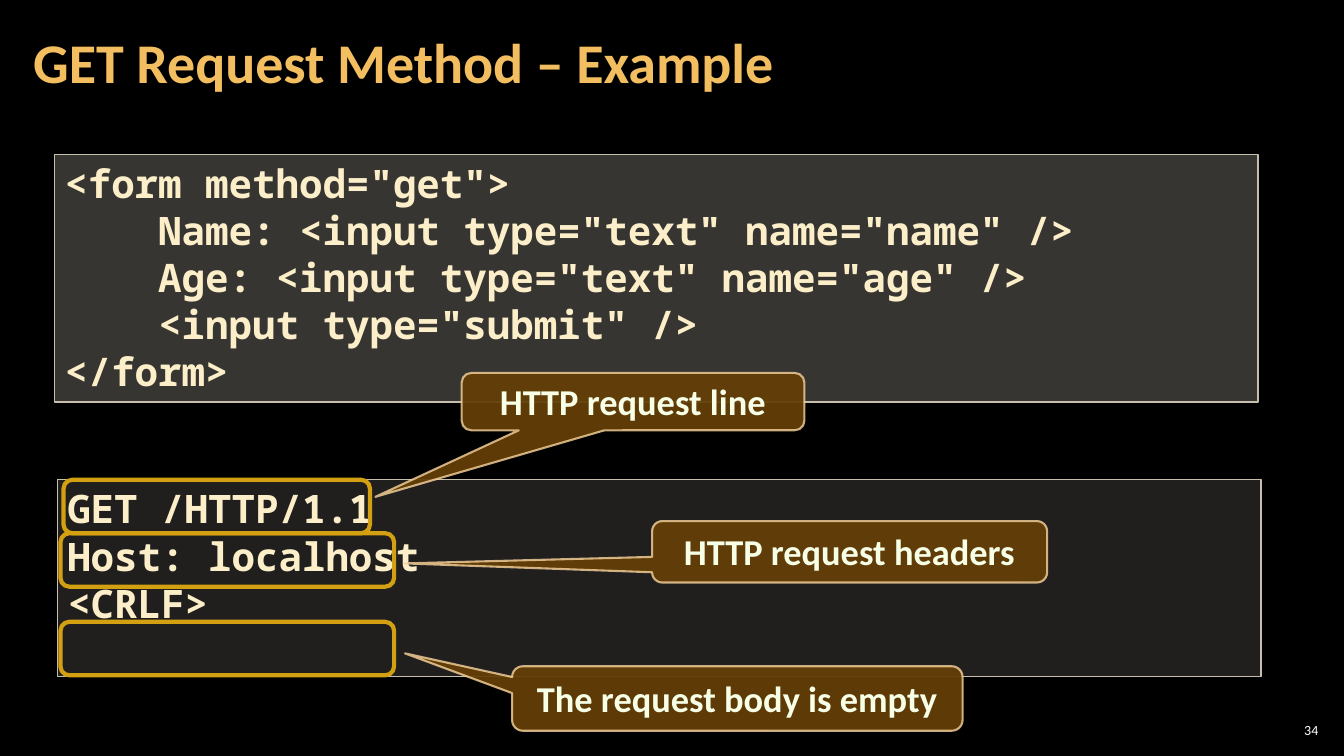
"""Build the slide that explains an HTTP GET request with an example."""
from dataclasses import dataclass
from typing import Optional

from lxml.etree import SubElement
from pptx import Presentation
from pptx.dml.color import RGBColor
from pptx.enum.shapes import MSO_SHAPE as Preset
from pptx.enum.text import MSO_ANCHOR as Anchor, MSO_AUTO_SIZE as AutoSize, PP_ALIGN as Align
from pptx.oxml.ns import qn
from pptx.util import Pt

BLACK = RGBColor(0x00, 0x00, 0x00)
WHITE = RGBColor(0xFF, 0xFF, 0xFF)
TITLE_GOLD = RGBColor(0xF3, 0xBE, 0x60)
PANEL_FILL = RGBColor(0xD9, 0xD5, 0xC7)
PANEL_LINE = RGBColor(0xC7, 0xBF, 0xAC)
CODE_CREAM = RGBColor(0xFB, 0xEE, 0xC9)
CALLOUT_FILL = RGBColor(0x64, 0x3F, 0x07)
CALLOUT_LINE = RGBColor(0xF8, 0xD4, 0x9E)
CALLOUT_TEXT = RGBColor(0xF7, 0xFF, 0xE7)
FRAME_GOLD = RGBColor(0xD2, 0xA0, 0x10)
TEXT_FONT = "Calibri"
CODE_FONT = "Noto Sans Mono"
FORM_CODE = """<form method="get">
    Name: <input type="text" name="name" />
    Age: <input type="text" name="age" />
    <input type="submit" />
</form>"""
REQUEST_CODE = """GET /HTTP/1.1
Host: localhost
<CRLF>"""


@dataclass(frozen=True)
class Box:
    left: float
    top: float
    width: float
    height: float

    def lengths(self) -> tuple:
        return Pt(self.left), Pt(self.top), Pt(self.width), Pt(self.height)


@dataclass(frozen=True)
class CodePanel:
    box: Box
    code: str
    opacity: int


@dataclass(frozen=True)
class Callout:
    box: Box
    text: str
    tip: tuple


CODE_PANELS = [
    CodePanel(Box(38.9, 110.2, 859.7, 177.1), FORM_CODE, 25),
    CodePanel(Box(41, 342.7, 859.7, 140.4), REQUEST_CODE, 15),
]
CALLOUTS = [
    Callout(Box(329.8, 266.4, 244.8, 41), "HTTP request line", (-0.752, 1.66)),
    Callout(Box(465.8, 372.2, 282.2, 43.9), "HTTP request headers", (-1.127, 0.189)),
    Callout(Box(365.8, 475.9, 321.8, 46.1), "The request body is empty", (-0.738, -0.7)),
]
FRAMES = [
    Box(45.4, 342.7, 218.9, 38.2),
    Box(43.2, 380.9, 238.3, 38.2),
    Box(43.2, 444.2, 238.3, 38.2),
]


def write_text(text_frame, text: str, *, size: float, color: RGBColor,
               font: str = TEXT_FONT, bold: bool = True, align=Align.LEFT,
               anchor=Anchor.MIDDLE, line_spacing=None, side: float = 7.2,
               edge: float = 3.6, wrap: bool = True) -> None:
    text_frame.auto_size = AutoSize.NONE
    text_frame.word_wrap = wrap
    text_frame.vertical_anchor = anchor
    text_frame.margin_left = text_frame.margin_right = Pt(side)
    text_frame.margin_top = text_frame.margin_bottom = Pt(edge)
    text_frame.text = text
    for paragraph in text_frame.paragraphs:
        paragraph.alignment = align
        paragraph.line_spacing = line_spacing
        for run in paragraph.runs:
            run.font.name = font
            run.font.size = Pt(size)
            run.font.bold = bold
            run.font.color.rgb = color


def set_opacity(fill_parent, percent: int) -> None:
    color = fill_parent.find(qn("a:solidFill"))[0]
    SubElement(color, qn("a:alpha")).set("val", str(percent * 1000))


def add_outlined(slide, preset, box: Box, line: RGBColor, line_width: float,
                 fill: Optional[RGBColor] = None, opacity: int = 100):
    shape = slide.shapes.add_shape(preset, *box.lengths())
    shape.shadow.inherit = False
    shape.line.color.rgb = line
    shape.line.width = Pt(line_width)
    if fill is None:
        shape.fill.background()
    else:
        shape.fill.solid()
        shape.fill.fore_color.rgb = fill
        set_opacity(shape.element.spPr, opacity)
    return shape


def add_code_panel(slide, panel: CodePanel) -> None:
    shape = add_outlined(slide, Preset.RECTANGLE, panel.box, PANEL_LINE, 1,
                         PANEL_FILL, panel.opacity)
    write_text(shape.text_frame, panel.code, size=28, color=CODE_CREAM,
               font=CODE_FONT, anchor=Anchor.TOP)


def add_callout(slide, callout: Callout) -> None:
    shape = add_outlined(slide, Preset.ROUNDED_RECTANGULAR_CALLOUT, callout.box,
                         CALLOUT_LINE, 1.5, CALLOUT_FILL, 95)
    set_opacity(shape.element.spPr.find(qn("a:ln")), 80)
    shape.adjustments[0], shape.adjustments[1] = callout.tip
    write_text(shape.text_frame, callout.text, size=26, color=CALLOUT_TEXT,
               align=Align.CENTER, line_spacing=Pt(30))


def main() -> None:
    presentation = Presentation()
    presentation.slide_width, presentation.slide_height = Pt(960), Pt(540)
    slide = presentation.slides.add_slide(presentation.slide_layouts[5])
    slide.background.fill.solid()
    slide.background.fill.fore_color.rgb = BLACK

    title = slide.shapes.title
    title.left, title.top, title.width, title.height = Box(15.1, 2.9, 753.8, 87.1).lengths()
    write_text(title.text_frame, "GET Request Method – Example", size=40,
               color=TITLE_GOLD, line_spacing=0.9, side=8.6, edge=2.9)

    slide_number = slide.shapes.add_textbox(*Box(910.8, 514.1, 33.8, 15.1).lengths())
    write_text(slide_number.text_frame, "34", size=10, color=WHITE, bold=False,
               align=Align.RIGHT, side=2.9, edge=2.9)

    for panel in CODE_PANELS:
        add_code_panel(slide, panel)
    for callout in CALLOUTS:
        add_callout(slide, callout)
    for frame in FRAMES:
        add_outlined(slide, Preset.ROUNDED_RECTANGLE, frame, FRAME_GOLD, 3)

    presentation.save("out.pptx")


if __name__ == "__main__":
    main()
